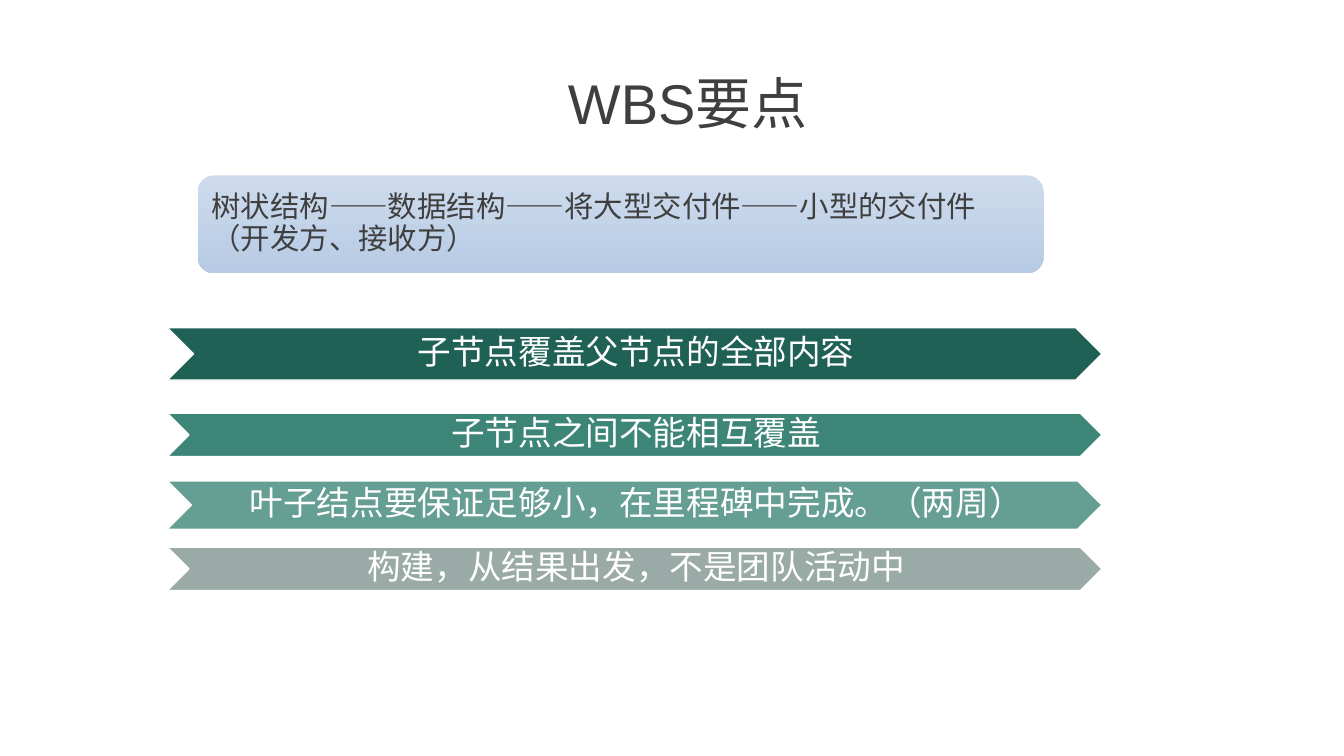
import pptx
import pptx.util
import pptx.dml.color
import pptx.enum.shapes
import pptx.enum.text

PX = 9144
SHAPES = pptx.enum.shapes.MSO_SHAPE
ALIGN = pptx.enum.text.PP_ALIGN
ANCHOR = pptx.enum.text.MSO_ANCHOR


def color(value):
    return pptx.dml.color.RGBColor.from_string(value)


def write(shape, text, size, ink, align, anchor, margins, spacing):
    frame = shape.text_frame
    frame.word_wrap = True
    frame.vertical_anchor = anchor
    frame.margin_left, frame.margin_top, frame.margin_right, frame.margin_bottom = [
        margin * PX for margin in margins
    ]
    paragraph = frame.paragraphs[0]
    paragraph.alignment = align
    paragraph.line_spacing = spacing
    run = paragraph.add_run()
    run.text = text
    run.font.name = "Arial"
    run.font.size = pptx.util.Pt(size)
    run.font.color.rgb = color(ink)


deck = pptx.Presentation()
deck.slide_width = 1333 * PX
deck.slide_height = 750 * PX
slide = deck.slides.add_slide(deck.slide_layouts[6])

title = slide.shapes.add_textbox(166 * PX, 63 * PX, 1032 * PX, 77 * PX)
write(title, "WBS要点", 40, "3F3F3F", ALIGN.CENTER, ANCHOR.TOP, (10, 5, 10, 5), 1.0)
title.text_frame.auto_size = pptx.enum.text.MSO_AUTO_SIZE.SHAPE_TO_FIT_TEXT

structure = slide.shapes.add_shape(
    SHAPES.ROUNDED_RECTANGLE, 196 * PX, 174 * PX, 839 * PX, 97 * PX
)
structure.shadow.inherit = False
structure.line.fill.background()
structure.fill.gradient()
structure.fill.gradient_angle = 270
for stop, shade, position in zip(
    structure.fill.gradient_stops, ("CEDBEC", "B7CBE5"), (0, 1)
):
    stop.color.rgb = color(shade)
    stop.position = position
write(
    structure,
    "树状结构——数据结构——将大型交付件——小型的交付件（开发方、接收方）",
    21, "3F3F3F", ALIGN.LEFT, ANCHOR.MIDDLE, (9, 9, 9, 9), 0.9,
)

principles = [
    ("子节点覆盖父节点的全部内容", 325, 52, "206156"),
    ("子节点之间不能相互覆盖", 410, 43, "3D8577"),
    ("叶子结点要保证足够小，在里程碑中完成。（两周）", 477, 48, "659E92"),
    ("构建，从结果出发，不是团队活动中", 543, 43, "9AAAA6"),
]
for text, top, height, shade in principles:
    principle = slide.shapes.add_shape(
        SHAPES.CHEVRON, 166 * PX, top * PX, 927 * PX, height * PX
    )
    principle.shadow.inherit = False
    principle.fill.solid()
    principle.fill.fore_color.rgb = color(shade)
    principle.line.color.rgb = color("FFFFFF")
    principle.line.width = pptx.util.Pt(1)
    write(principle, text, 24, "FFFFFF", ALIGN.CENTER, ANCHOR.MIDDLE, (3, 2, 0, 2), 0.9)

deck.save("out.pptx")
